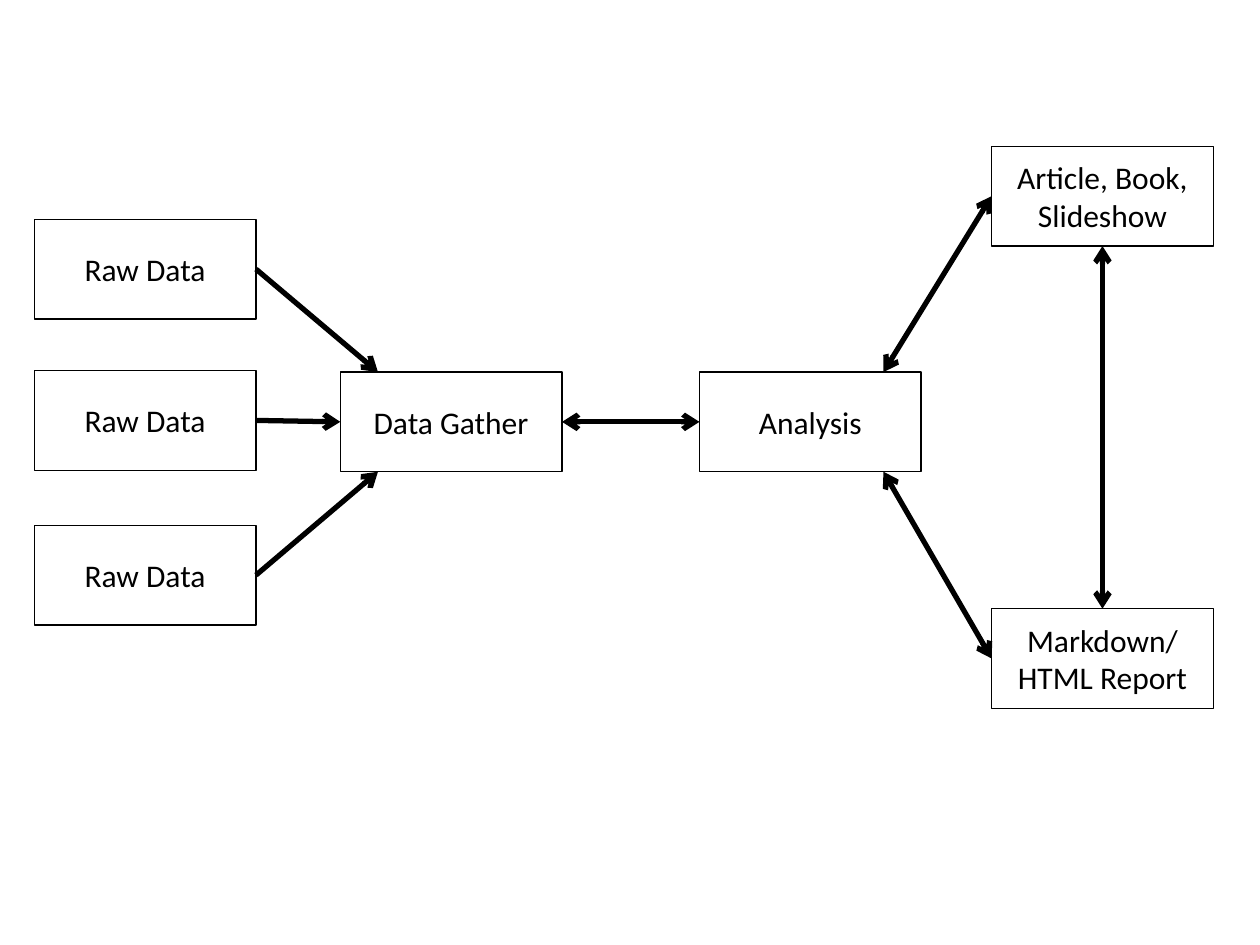
from dataclasses import dataclass

from lxml import etree
from pptx import Presentation
from pptx.dml.color import RGBColor
from pptx.enum.shapes import MSO_CONNECTOR, MSO_SHAPE
from pptx.enum.text import MSO_ANCHOR, PP_ALIGN
from pptx.oxml.ns import qn
from pptx.util import Cm, Pt

RECT = MSO_SHAPE.RECTANGLE
STRAIGHT = MSO_CONNECTOR.STRAIGHT
CENTER = PP_ALIGN.CENTER
MIDDLE = MSO_ANCHOR.MIDDLE

BLACK = RGBColor(0x00, 0x00, 0x00)
FONT = "Calibri"
BOX_W, BOX_H = 4.47, 2.01

# Points on a box, as fractions of its width and height
LEFT, RIGHT = (0, 0.5), (1, 0.5)
TOP, BOTTOM = (0.5, 0), (0.5, 1)
TOP_NEAR_LEFT, BOTTOM_NEAR_LEFT = (0.17, 0), (0.17, 1)
TOP_NEAR_RIGHT, BOTTOM_NEAR_RIGHT = (0.83, 0), (0.83, 1)


@dataclass(frozen=True)
class Box:
    text: str
    x: float
    y: float

    def at(self, point: tuple) -> tuple:
        fx, fy = point
        return Cm(self.x + fx * BOX_W), Cm(self.y + fy * BOX_H)


@dataclass(frozen=True)
class Arrow:
    start: Box
    start_point: tuple
    end: Box
    end_point: tuple
    two_way: bool = True


def draw_box(s, box: Box) -> None:
    sp = s.shapes.add_shape(RECT, Cm(box.x), Cm(box.y), Cm(BOX_W), Cm(BOX_H))
    sp.shadow.inherit = False
    sp.fill.background()
    sp.line.color.rgb = BLACK
    sp.line.width = Pt(0.75)
    tf = sp.text_frame
    tf.word_wrap = True
    tf.vertical_anchor = MIDDLE
    p = tf.paragraphs[0]
    p.alignment = CENTER
    r = p.add_run()
    r.text = box.text
    r.font.name = FONT
    r.font.size = Pt(18)
    r.font.color.rgb = BLACK


def draw_arrow(s, arrow: Arrow) -> None:
    c = s.shapes.add_connector(STRAIGHT, *arrow.start.at(arrow.start_point),
                               *arrow.end.at(arrow.end_point))
    c.line.color.rgb = BLACK
    c.line.width = Pt(3)
    ln = c.line._get_or_add_ln()
    for tag in ("a:headEnd", "a:tailEnd") if arrow.two_way else ("a:tailEnd",):
        etree.SubElement(ln, qn(tag), type="arrow")
    etree.SubElement(c._element.spPr, qn("a:effectLst"))


def main() -> None:
    prs = Presentation()
    prs.slide_width, prs.slide_height = Cm(25.4), Cm(19.05)
    s = prs.slides.add_slide(prs.slide_layouts[6])

    # Steps, from left to right
    raw = [Box("Raw Data", 0.69, y) for y in (4.42, 7.47, 10.59)]
    gather = Box("Data Gather", 6.86, 7.5)
    analysis = Box("Analysis", 14.1, 7.5)
    article = Box("Article, Book, Slideshow", 19.99, 2.95)
    report = Box("Markdown/HTML Report", 19.99, 12.27)
    for box in (gather, *raw, analysis, article, report):
        draw_box(s, box)

    # Two-way flows between the steps
    arrows = [
        Arrow(gather, RIGHT, analysis, LEFT),
        Arrow(analysis, TOP_NEAR_RIGHT, article, LEFT),
        Arrow(analysis, BOTTOM_NEAR_RIGHT, report, LEFT),
        Arrow(report, TOP, article, BOTTOM),
    ]
    # One-way flows from the raw data
    entries = (TOP_NEAR_LEFT, LEFT, BOTTOM_NEAR_LEFT)
    arrows += [Arrow(box, RIGHT, gather, entry, two_way=False)
               for box, entry in zip(raw, entries)]
    for arrow in arrows:
        draw_arrow(s, arrow)

    prs.save("out.pptx")


if __name__ == "__main__":
    main()
